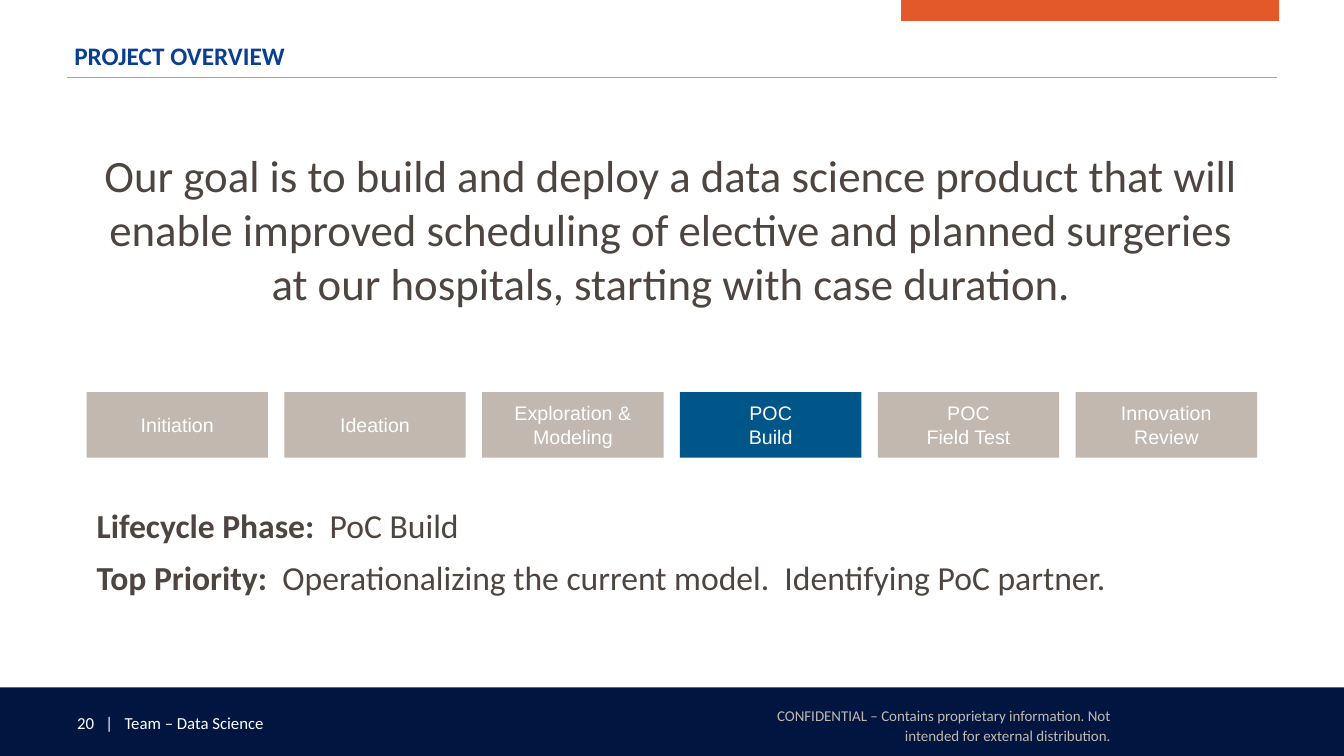
from dataclasses import dataclass

from pptx import Presentation
from pptx import util as u
from pptx.dml import color
from pptx.enum import shapes, text
from pptx.oxml import ns
from lxml import etree

COLORS = {
    "orange": "E35929",
    "navy": "001641",
    "title": "093F90",
    "rule": "A6A6A6",
    "body": "4E4540",
    "sand": "C2B8AF",
    "active": "005689",
    "white": "FFFFFF",
}
COLUMNS, ROWS = 160, 90
MARGIN = 8
PHASE_LEFT = 10.3
PHASE_STEP = 23.55
ACTIVE_PHASE = "POC\nBuild"
PHASES = [
    "Initiation",
    "Ideation",
    "Exploration & Modeling",
    ACTIVE_PHASE,
    "POC\nField Test",
    "Innovation\nReview",
]
DETAILS = [
    ("Lifecycle Phase:  ", "PoC Build"),
    ("Top Priority:  ", "Operationalizing the current model.  Identifying PoC partner."),
]


@dataclass(frozen=True)
class Box:
    column: float
    row: float
    columns: float
    rows: float


@dataclass(frozen=True)
class Style:
    size: float
    color: str
    font: str = "Calibri"
    bold: bool = False
    align: text.PP_ALIGN = text.PP_ALIGN.LEFT
    anchor: text.MSO_ANCHOR = text.MSO_ANCHOR.TOP
    insets: tuple[float, float] = (0.1, 0.05)
    line_spacing: float = 1.0
    space_after: float = 0


@dataclass(frozen=True)
class TextBlock:
    box: Box
    content: str
    style: Style


TITLE = TextBlock(
    Box(MARGIN, 4.3, 144, 10.7),
    "PROJECT OVERVIEW",
    Style(18, "title", bold=True, insets=(0.07, 0.04)),
)
TEXT_BLOCKS = [
    TextBlock(Box(MARGIN, 84.24, 53, 3.6), "20   |   Team – Data Science", Style(12, "white")),
    TextBlock(
        Box(88.8, 80.9, 45, 10.8),
        "CONFIDENTIAL – Contains proprietary information. Not intended for external distribution.",
        Style(10.7, "sand", align=text.PP_ALIGN.RIGHT, anchor=text.MSO_ANCHOR.MIDDLE,
              insets=(0.13, 0.07), line_spacing=1.1),
    ),
    TextBlock(
        Box(7.8, 15.1, 144.2, 24.2),
        "Our goal is to build and deploy a data science product that will enable improved "
        "scheduling of elective and planned surgeries\vat our hospitals, starting with case duration.",
        Style(32, "body", align=text.PP_ALIGN.CENTER, anchor=text.MSO_ANCHOR.MIDDLE, space_after=6),
    ),
]
DETAIL_STYLE = Style(24, "body", line_spacing=1.1, space_after=6)
PHASE_STYLE = Style(14, "white", font="Arial', align=".split("'")[0], align=text.PP_ALIGN.CENTER,
                    anchor=text.MSO_ANCHOR.MIDDLE)

presentation = Presentation()
presentation.slide_width = u.Inches(13.33)
presentation.slide_height = u.Inches(7.5)


def across(columns: float) -> int:
    return round(presentation.slide_width * columns / COLUMNS)


def down(rows: float) -> int:
    return round(presentation.slide_height * rows / ROWS)


def lengths(box: Box) -> tuple[int, int, int, int]:
    return across(box.column), down(box.row), across(box.columns), down(box.rows)


def place(shape, box: Box) -> None:
    shape.left, shape.top, shape.width, shape.height = lengths(box)


def rgb(name: str) -> color.RGBColor:
    return color.RGBColor.from_string(COLORS[name])


def format_text(frame, style: Style) -> None:
    frame.word_wrap = True
    frame.auto_size = text.MSO_AUTO_SIZE.NONE
    frame.vertical_anchor = style.anchor
    side, edge = style.insets
    frame.margin_left = frame.margin_right = u.Inches(side)
    frame.margin_top = frame.margin_bottom = u.Inches(edge)
    for paragraph in frame.paragraphs:
        paragraph.alignment = style.align
        paragraph.line_spacing = style.line_spacing
        paragraph.space_before = u.Pt(0)
        paragraph.space_after = u.Pt(style.space_after)
        for run in paragraph.runs:
            run.font.size = u.Pt(style.size)
            run.font.name = style.font
            run.font.bold = style.bold
            run.font.color.rgb = rgb(style.color)


def fill_text(shape, content: str, style: Style) -> None:
    shape.text_frame.text = content
    format_text(shape.text_frame, style)


def add_block(container, box: Box, fill: str):
    shape = container.add_shape(shapes.MSO_SHAPE.RECTANGLE, *lengths(box))
    shape.shadow.inherit = False
    shape.fill.solid()
    shape.fill.fore_color.rgb = rgb(fill)
    shape.line.fill.background()
    return shape


def add_rule(slide, row: float) -> None:
    rule = slide.shapes.add_connector(
        shapes.MSO_CONNECTOR.STRAIGHT,
        across(MARGIN), down(row), across(COLUMNS - MARGIN), down(row),
    )
    rule.line.color.rgb = rgb("rule")
    rule.line.width = u.Pt(0.75)
    etree.SubElement(rule._element.spPr, ns.qn("a:effectLst"))


def add_phases(slide) -> None:
    group = slide.shapes.add_group_shape()
    for index, phase in enumerate(PHASES):
        box = Box(PHASE_LEFT + index * PHASE_STEP, 46.68, 21.6, 7.8)
        fill = "active" if phase == ACTIVE_PHASE else "sand"
        fill_text(add_block(group.shapes, box, fill), phase, PHASE_STYLE)


def fill_details(body) -> None:
    place(body, Box(PHASE_LEFT, 59, 139.3, 18.6))
    frame = body.text_frame
    frame.text = "\n".join(label for label, _ in DETAILS)
    for paragraph, (_, value) in zip(frame.paragraphs, DETAILS):
        paragraph.add_run().text = value
    format_text(frame, DETAIL_STYLE)
    for paragraph in frame.paragraphs:
        paragraph.runs[0].font.bold = True
        properties = paragraph._p.get_or_add_pPr()
        properties.set("marL", "0")
        properties.set("indent", "0")
        etree.SubElement(properties, ns.qn("a:buNone"))


def main() -> None:
    slide = presentation.slides.add_slide(presentation.slide_layouts[1])
    add_block(slide.shapes, Box(107.28, 0, 45, 2.5), "orange")
    add_block(slide.shapes, Box(0, 81.84, COLUMNS, ROWS - 81.84), "navy")
    place(slide.shapes.title, TITLE.box)
    fill_text(slide.shapes.title, TITLE.content, TITLE.style)
    add_rule(slide, 9.2)
    for block in TEXT_BLOCKS:
        fill_text(slide.shapes.add_textbox(*lengths(block.box)), block.content, block.style)
    fill_details(slide.placeholders[1])
    add_phases(slide)
    presentation.save("out.pptx")


if __name__ == "__main__":
    main()
